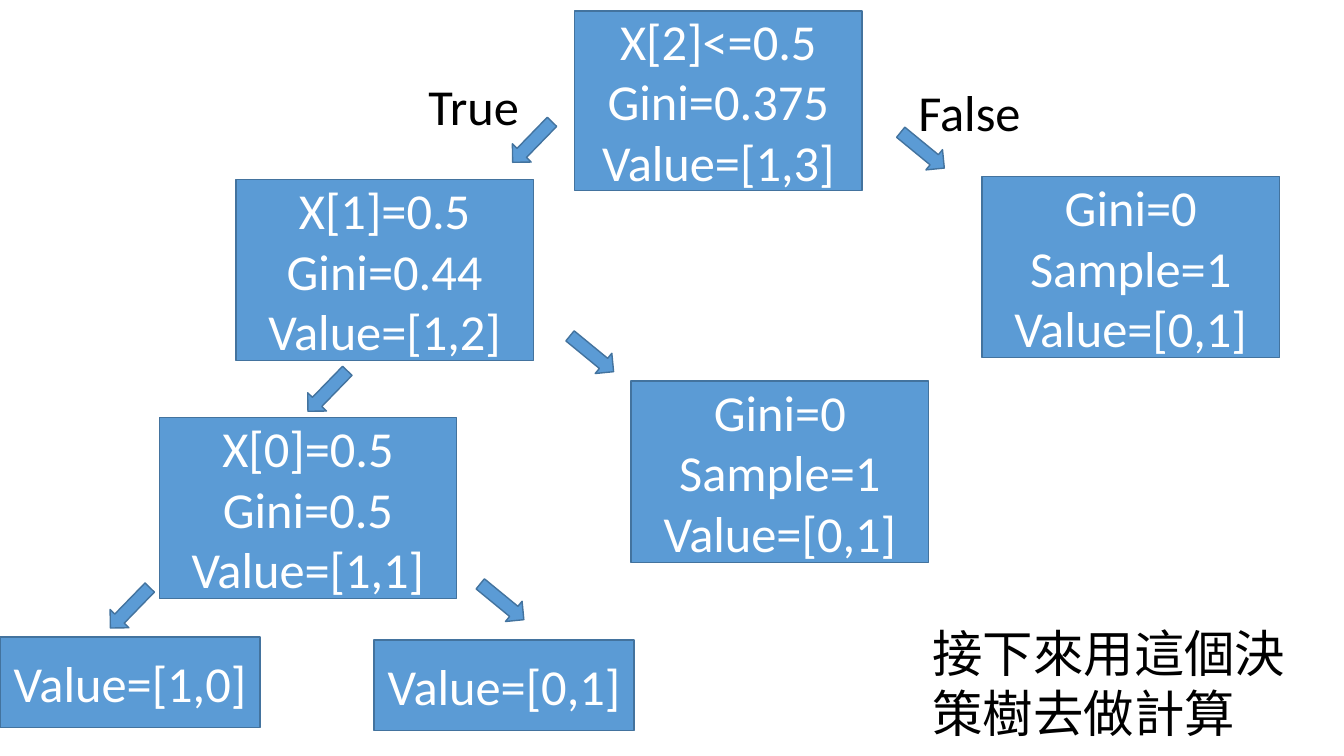
import pptx
import pptx.util
import pptx.dml.color
import pptx.enum.shapes
import pptx.enum.text

PX = 9144  # EMU per px, 100 px to the inch
WIDE, HIGH = 1333, 750
FONT, SIZE = "Calibri", 36
COLORS = {"fill": "5B9BD5", "edge": "43739E", "light": "FFFFFF", "dark": "000000"}
TURN = {"left": 44.2, "right": 309.4}
SHAPE = pptx.enum.shapes.MSO_SHAPE
ALIGN = pptx.enum.text.PP_ALIGN

# Sizes of the tree parts: width, height
ROOT, NODE, LEAF, ARROW = (285, 178), (295, 180), (258, 90), (26, 56)

# Left, top, size, lines
NODES = [
    (570, 11, ROOT, ["X[2]<=0.5", "Gini=0.375", "Value=[1,3]"]),
    (234, 178, NODE, ["X[1]=0.5", "Gini=0.44", "Value=[1,2]"]),
    (974, 175, NODE, ["Gini=0", "Sample=1", "Value=[0,1]"]),
    (158, 414, NODE, ["X[0]=0.5", "Gini=0.5", "Value=[1,1]"]),
    (626, 378, NODE, ["Gini=0", "Sample=1", "Value=[0,1]"]),
    (0, 632, LEAF, ["Value=[1,0]"]),
    (371, 635, LEAF, ["Value=[0,1]"]),
]

# Left, top, side the branch leads to
ARROWS = [
    (515, 113, "left"), (902, 121, "right"),
    (312, 360, "left"), (574, 323, "right"),
    (116, 575, "left"), (485, 569, "right"),
]

# Left, top, width, height, text
LABELS = [(415, 70, 169, 71, "True"), (901, 76, 173, 71, "False")]


def color(name):
    return pptx.dml.color.RGBColor.from_string(COLORS[name])


def emu(*sizes):
    return [pptx.util.Emu(size * PX) for size in sizes]


def write(frame, lines, ink, align):
    frame.word_wrap = True
    for i, line in enumerate(lines):
        para = frame.add_paragraph() if i else frame.paragraphs[0]
        para.text = line
        para.alignment = align
        para.font.name = FONT
        para.font.size = pptx.util.Pt(SIZE)
        para.font.color.rgb = color(ink)


def add_part(slide, kind, box):
    part = slide.shapes.add_shape(kind, *emu(*box))
    part.shadow.inherit = False
    part.fill.solid()
    part.fill.fore_color.rgb = color("fill")
    part.line.color.rgb = color("edge")
    part.line.width = pptx.util.Pt(1)
    return part


def add_label(slide, box, text):
    label = slide.shapes.add_textbox(*emu(*box))
    write(label.text_frame, [text], "dark", ALIGN.LEFT)


def add_tree(slide, box):
    x, y = box[:2]
    # Nodes and leaves
    for left, top, size, lines in NODES:
        node = add_part(slide, SHAPE.RECTANGLE, (x + left, y + top, *size))
        node.text_frame.vertical_anchor = pptx.enum.text.MSO_ANCHOR.MIDDLE
        write(node.text_frame, lines, "light", ALIGN.CENTER)
    # Branch arrows
    for left, top, side in ARROWS:
        arrow = add_part(slide, SHAPE.DOWN_ARROW, (x + left, y + top, *ARROW))
        arrow.rotation = TURN[side]
    # Branch labels
    for left, top, width, height, text in LABELS:
        add_label(slide, (x + left, y + top, width, height), text)


def main():
    deck = pptx.Presentation()
    deck.slide_width, deck.slide_height = emu(WIDE, HIGH)
    slide = deck.slides.add_slide(deck.slide_layouts[6])
    add_tree(slide, (0, 0, WIDE, HIGH))
    # Closing remark
    add_label(slide, (915, 612, 409, 131), "接下來用這個決策樹去做計算")
    deck.save("out.pptx")


if __name__ == "__main__":
    main()
